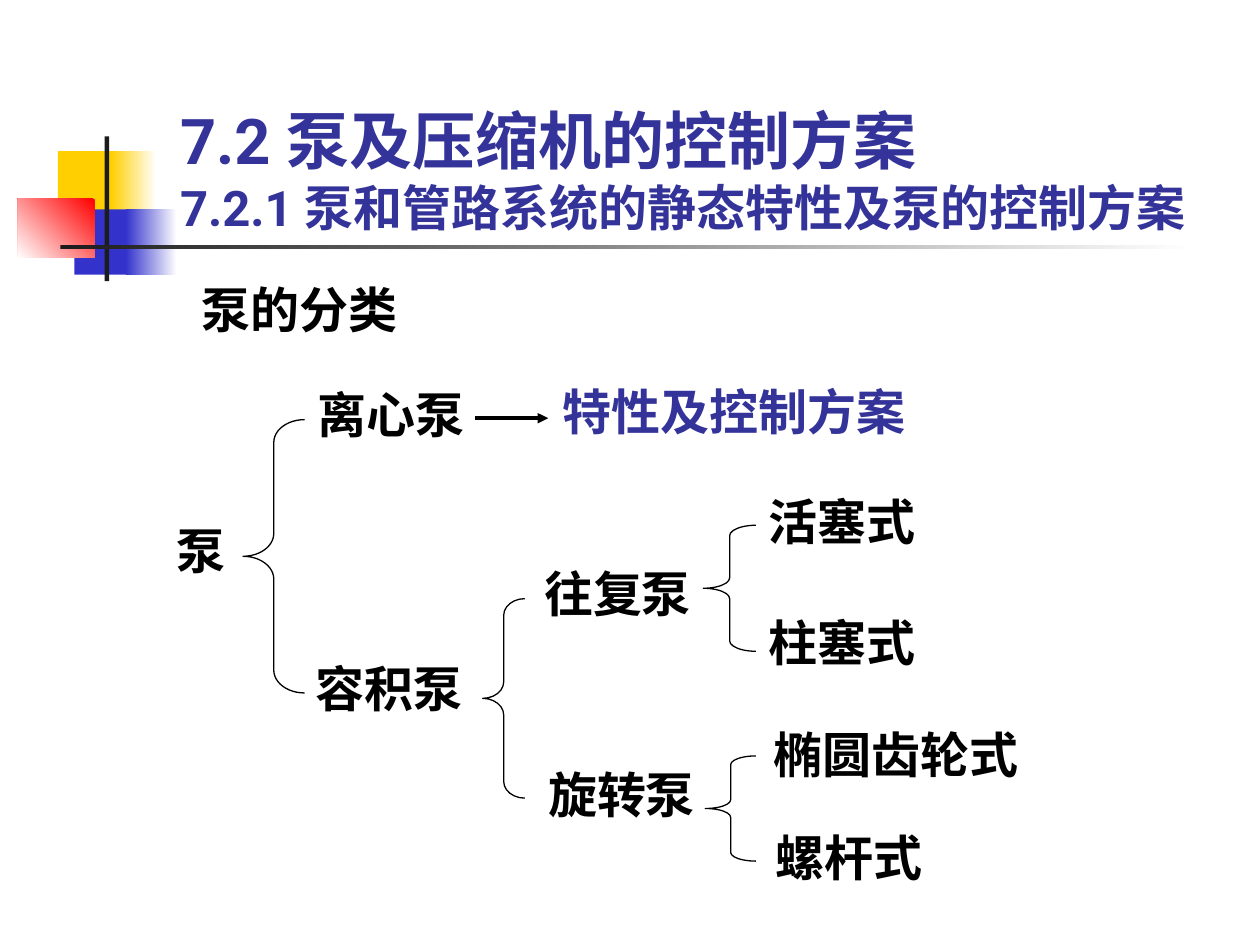
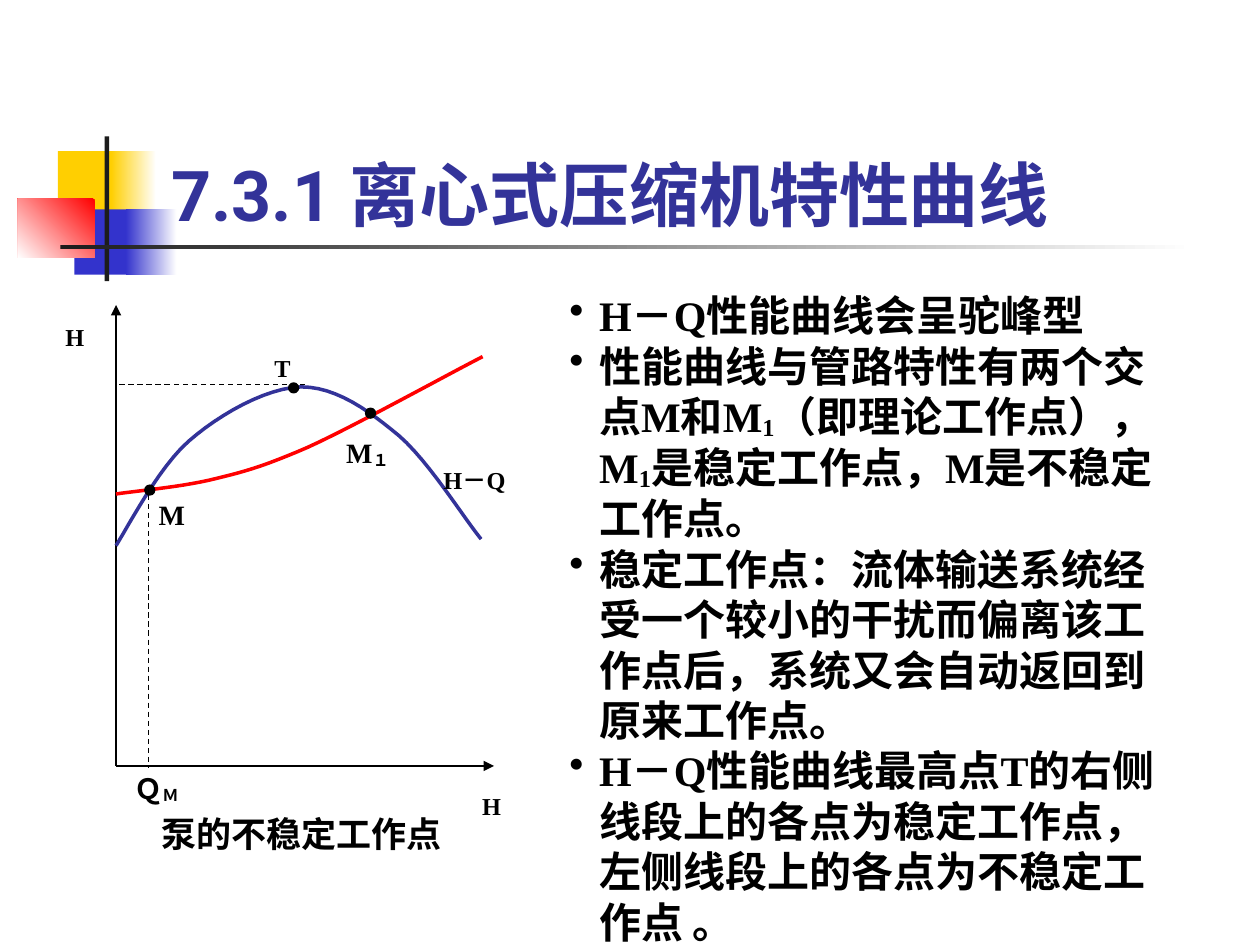
from dataclasses import dataclass

from lxml.etree import SubElement
from pptx import Presentation
from pptx.dml.color import RGBColor
from pptx.enum.dml import MSO_LINE
from pptx.enum.shapes import MSO_CONNECTOR, MSO_SHAPE
from pptx.enum.text import MSO_ANCHOR
from pptx.oxml.ns import qn
from pptx.util import Cm, Pt


@dataclass(frozen=True)
class Theme:
    black: RGBColor = RGBColor(0x00, 0x00, 0x00)
    white: RGBColor = RGBColor(0xFF, 0xFF, 0xFF)
    ink: RGBColor = RGBColor(0x1C, 0x1C, 0x1C)
    indigo: RGBColor = RGBColor(0x33, 0x33, 0x99)
    blue: RGBColor = RGBColor(0x33, 0x33, 0xCC)
    yellow: RGBColor = RGBColor(0xFF, 0xCF, 0x01)
    red: RGBColor = RGBColor(0xFF, 0x00, 0x00)
    sans: str = "Roboto"
    serif: str = "Times New Roman"
    title_size: int = 40
    chapter_size: int = 36
    heading_size: int = 28
    body_size: int = 24
    caption_size: int = 20
    point_size: int = 16
    thin: float = 0.75
    thick: float = 2


theme = Theme()


def add_text(slide, lines, left, top, width, height, size, font, color=theme.black):
    """Bold text box; within a line, ~ switches lowered text on and off."""
    box = slide.shapes.add_textbox(Cm(left), Cm(top), Cm(width), Cm(height))
    frame = box.text_frame
    frame.word_wrap = True
    for index, line in enumerate(lines):
        paragraph = frame.add_paragraph() if index else frame.paragraphs[0]
        first, *others = line.split("~")
        paragraph.text = first
        for position, part in enumerate(others):
            run = paragraph.add_run()
            run.text = part
            if position % 2 == 0:
                run._r.get_or_add_rPr().set("baseline", "-10000")
        for run in paragraph.runs:
            run.font.size = Pt(size)
            run.font.name = font
            run.font.bold = True
            run.font.color.rgb = color
    return frame


def add_line(slide, start, end, weight, arrow=False):
    """Black straight line: an arrow, or else dashed."""
    points = [Cm(value) for value in (*start, *end)]
    connector = slide.shapes.add_connector(MSO_CONNECTOR.STRAIGHT, *points)
    connector.line.color.rgb = theme.black
    connector.line.width = Pt(weight)
    if arrow:
        SubElement(connector.line._get_or_add_ln(), qn("a:tailEnd"), type="triangle")
    else:
        connector.line.dash_style = MSO_LINE.DASH
    SubElement(connector._element.spPr, qn("a:effectLst"))


presentation = Presentation()
presentation.slide_width = Cm(25.4)
presentation.slide_height = Cm(19.05)
blank_layout = presentation.slide_layouts[6]
pump_slide = presentation.slides.add_slide(blank_layout)
curve_slide = presentation.slides.add_slide(blank_layout)

# Shared decoration: colour, fade angle (None is solid), left, top, width, height
decoration = [
    (theme.yellow, None, 1.17, 3.05, 1.22, 1.32),
    (theme.yellow, 0, 2.24, 3.05, 0.91, 1.32),
    (theme.blue, None, 1.5, 4.22, 1.17, 1.32),
    (theme.blue, 0, 2.54, 4.22, 1.02, 1.32),
    (theme.red, 225, 0.36, 4.01, 1.55, 1.19),
    (theme.ink, None, 2.11, 2.75, 0.09, 2.92),
    (theme.ink, 0, 1.22, 4.94, 22.86, 0.09),
]
for slide in (pump_slide, curve_slide):
    for color, angle, *bounds in decoration:
        shape = slide.shapes.add_shape(MSO_SHAPE.RECTANGLE, *map(Cm, bounds))
        shape.shadow.inherit = False
        shape.line.fill.background()
        if angle is None:
            shape.fill.solid()
            shape.fill.fore_color.rgb = color
        else:
            shape.fill.gradient()
            shape.fill.gradient_angle = angle
            for stop, stop_color in zip(shape.fill.gradient_stops, (color, theme.white)):
                stop.color.rgb = stop_color

# Titles
titles = [
    (pump_slide, "7.2 泵及压缩机的控制方案\v7.2.1 泵和管路系统的静态特性及泵的控制方案",
     3.38, 21.16, (theme.chapter_size, theme.heading_size)),
    (curve_slide, "7.3.1 离心式压缩机特性曲线", 3.2, 21.64, (theme.title_size,)),
]
for slide, title, left, width, sizes in titles:
    frame = add_text(slide, [title], left, 1.7, width, 3.18, sizes[0], theme.sans, theme.indigo)
    frame.vertical_anchor = MSO_ANCHOR.BOTTOM
    for run, size in zip(frame.paragraphs[0].runs, sizes):
        run.font.size = Pt(size)

# Pump tree: labels
pump_labels = [
    ("泵的分类", 3.81, 5.51, 5.08),
    ("泵", 3.3, 10.36, 1.7),
    ("离心泵", 6.15, 7.62, 3.81),
    ("容积泵", 6.12, 13.16, 3.81),
    ("往复泵", 10.72, 11.23, 3.81),
    ("旋转泵", 10.8, 15.29, 3.81),
    ("活塞式", 15.24, 9.78, 3.81),
    ("柱塞式", 15.24, 12.22, 3.81),
    ("椭圆齿轮式", 15.34, 14.48, 5.72),
    ("螺杆式", 15.39, 16.56, 3.81),
]
for label, left, top, width in pump_labels:
    add_text(pump_slide, [label], left, top, width, 1.45, theme.heading_size, theme.sans)
add_text(pump_slide, ["特性及控制方案"], 11.1, 7.57, 9.73, 1.45,
         theme.heading_size, theme.sans, theme.indigo)

# Pump tree: braces, each bend a twelfth of the height
pump_braces = [
    (4.9, 8.46, 1.24, 5.51),
    (9.73, 12.07, 0.85, 4.02),
    (14.18, 10.59, 1.06, 2.54),
    (14.22, 15.24, 1.02, 2.12),
]
for left, top, width, height in pump_braces:
    brace = pump_slide.shapes.add_shape(
        MSO_SHAPE.LEFT_BRACE, Cm(left), Cm(top), Cm(width), Cm(height))
    brace.adjustments[0] = height / 12 / min(width, height)
    brace.shadow.inherit = False
    brace.fill.background()
    brace.line.color.rgb = theme.black
    brace.line.width = Pt(theme.thin)
add_line(pump_slide, (9.58, 8.43), (11.05, 8.43), theme.thick, arrow=True)

# Notes on the curve
notes = [
    "H－Q性能曲线会呈驼峰型",
    "性能曲线与管路特性有两个交点M和M~1~（即理论工作点），M~1~是稳定工作点，M是不稳定工作点。",
    "稳定工作点：流体输送系统经受一个较小的干扰而偏离该工作点后，系统又会自动返回到原来工作点。",
    "H－Q性能曲线最高点T的右侧线段上的各点为稳定工作点，左侧线段上的各点为不稳定工作点 。",
]
frame = add_text(curve_slide, notes, 11.23, 5.72, 12.9, 13.49, theme.body_size, theme.serif)
for paragraph in frame.paragraphs:
    properties = paragraph._p.get_or_add_pPr()
    properties.set("marL", str(Cm(0.6)))
    properties.set("indent", str(-Cm(0.6)))
    bullet_color = SubElement(properties, qn("a:buClr"))
    SubElement(bullet_color, qn("a:srgbClr"), val=str(theme.black))
    SubElement(properties, qn("a:buChar"), char="•")

# Axes
origin = (2.34, 15.44)
for axis_end in ((9.96, 15.44), (2.34, 6.15)):
    add_line(curve_slide, origin, axis_end, theme.thin, arrow=True)

# Curves: a start point, then two handles and an end point for each Bezier piece
performance_curve = [
    (2.34, 11), (2.57, 10.64), (3.2, 9.42), (3.81, 8.89), (4.42, 8.36), (5.36, 7.82),
    (6.07, 7.8), (6.78, 7.8), (7.44, 8.28), (8.05, 8.79), (8.64, 9.3), (9.35, 10.44),
    (9.7, 10.87),
]
pipe_curve = [
    (2.34, 9.96), (2.64, 9.91), (3.56, 9.83), (4.22, 9.68), (4.85, 9.53), (5.26, 9.43),
    (6.2, 9.02), (7.11, 8.61), (8.99, 7.57), (9.73, 7.19),
]
steps = 12
for color, points in ((theme.indigo, performance_curve), (theme.red, pipe_curve)):
    vertices = []
    for first in range(0, len(points) - 1, 3):
        for step in range(1, steps + 1):
            t = step / steps
            weights = ((1 - t) ** 3, 3 * t * (1 - t) ** 2, 3 * t ** 2 * (1 - t), t ** 3)
            piece = points[first:first + 4]
            vertices.append(tuple(
                Cm(sum(weight * point[axis] for weight, point in zip(weights, piece)))
                for axis in (0, 1)))
    builder = curve_slide.shapes.build_freeform(*map(Cm, points[0]))
    builder.add_line_segments(vertices, close=False)
    curve = builder.convert_to_shape()
    curve.shadow.inherit = False
    curve.fill.background()
    curve.line.color.rgb = color
    curve.line.width = Pt(theme.thick)

# Guides from the peak T and the working point M
add_line(curve_slide, (6.15, 7.75), (2.34, 7.75), theme.thin)
add_line(curve_slide, (3, 9.98), (3, 15.49), theme.thin)

# Curve labels
curve_labels = [
    ("~T", 5.28, 6.55, 1.07, 1.3, theme.body_size),
    ("~H", 1.07, 5.92, 1.07, 1.3, theme.body_size),
    ("Ｑ~Ｍ", 2.46, 15.42, 1.78, 0.94, theme.point_size),
    ("~H", 9.47, 15.39, 1.07, 1.3, theme.body_size),
    ("M~１", 6.73, 8.66, 2.34, 0.94, theme.point_size),
    ("~H－Q", 8.69, 8.81, 2.11, 2.31, theme.body_size),
    ("M", 2.95, 9.91, 1.47, 0.94, theme.point_size),
    ("泵的不稳定工作点", 3, 16.26, 6.55, 1.12, theme.caption_size),
]
for label, left, top, width, height, size in curve_labels:
    add_text(curve_slide, [label], left, top, width, height, size, theme.serif)

# Points T, M and M1
for left, top in ((5.82, 7.72), (2.92, 9.78), (7.37, 8.23)):
    dot = curve_slide.shapes.add_shape(MSO_SHAPE.OVAL, Cm(left), Cm(top), Cm(0.2), Cm(0.2))
    dot.shadow.inherit = False
    dot.fill.solid()
    dot.fill.fore_color.rgb = theme.black
    dot.line.color.rgb = theme.black
    dot.line.width = Pt(theme.thin)

presentation.save("out.pptx")
